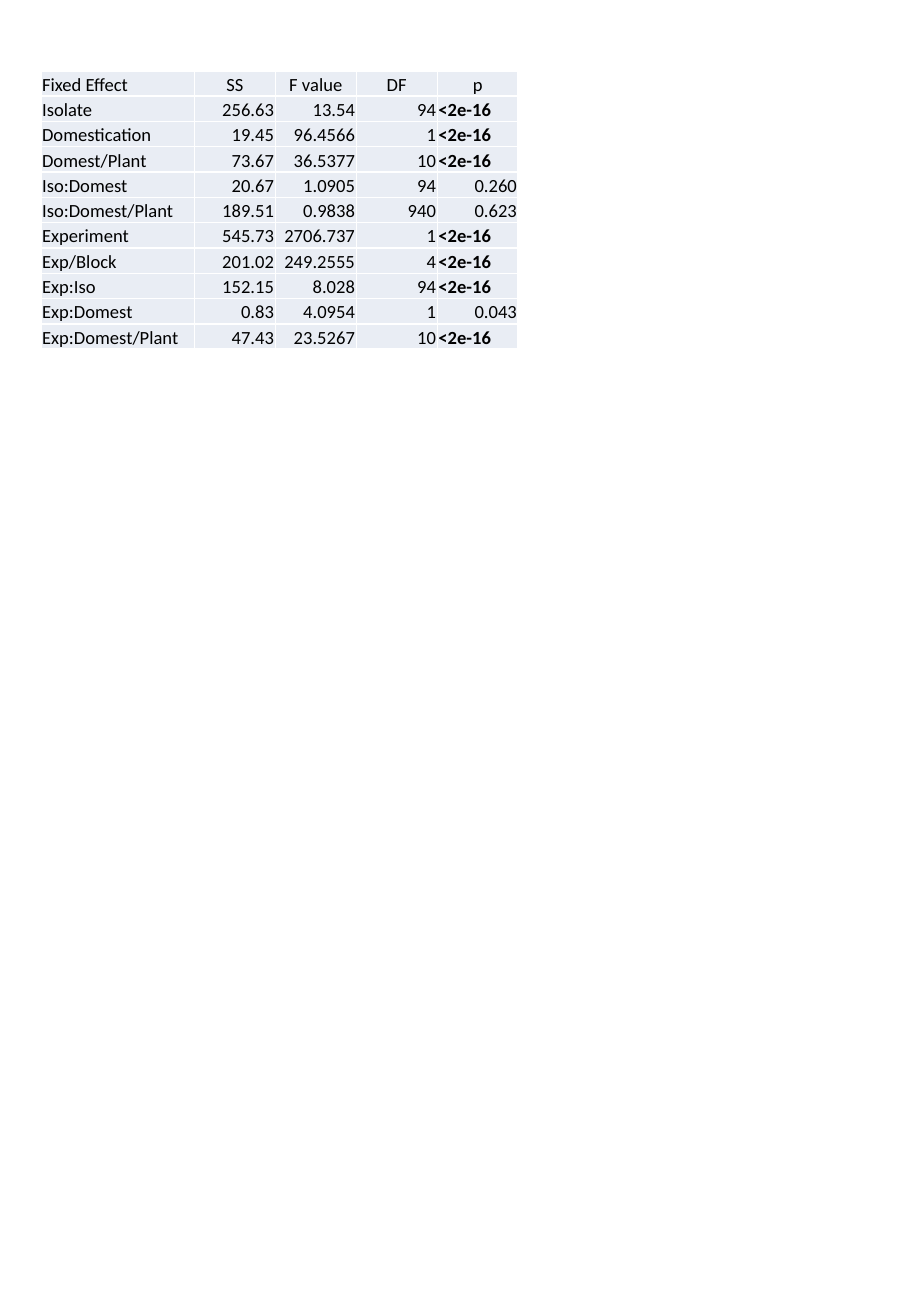
from lxml import etree
from pptx import Presentation
from pptx.dml.color import RGBColor
from pptx.enum.text import MSO_ANCHOR, PP_ALIGN
from pptx.oxml.ns import qn
from pptx.util import Pt

LEFT, CENTER, RIGHT = PP_ALIGN.LEFT, PP_ALIGN.CENTER, PP_ALIGN.RIGHT
BOTTOM = MSO_ANCHOR.BOTTOM
BLACK = RGBColor(0x00, 0x00, 0x00)
WHITE = RGBColor(0xFF, 0xFF, 0xFF)
PALE_BLUE = RGBColor(0xE9, 0xED, 0xF4)

SIGNIFICANT = "<2e-16"
COLUMN_WIDTHS = [91, 48, 48, 48, 48]
ROW_HEIGHT = 15
EFFECTS = [
    ("Fixed Effect", "SS", "F value", "DF", "p"),
    ("Isolate", "256.63", "13.54", "94", SIGNIFICANT),
    ("Domestication", "19.45", "96.4566", "1", SIGNIFICANT),
    ("Domest/Plant", "73.67", "36.5377", "10", SIGNIFICANT),
    ("Iso:Domest", "20.67", "1.0905", "94", "0.260"),
    ("Iso:Domest/Plant", "189.51", "0.9838", "940", "0.623"),
    ("Experiment", "545.73", "2706.737", "1", SIGNIFICANT),
    ("Exp/Block", "201.02", "249.2555", "4", SIGNIFICANT),
    ("Exp:Iso", "152.15", "8.028", "94", SIGNIFICANT),
    ("Exp:Domest", "0.83", "4.0954", "1", "0.043"),
    ("Exp:Domest/Plant", "47.43", "23.5267", "10", SIGNIFICANT),
]


def add_borders(cell):
    tcPr = cell._tc.get_or_add_tcPr()
    for side in ("a:lnL", "a:lnR", "a:lnT", "a:lnB"):
        line = etree.SubElement(tcPr, qn(side), w=str(Pt(1)))
        fill = etree.SubElement(line, qn("a:solidFill"))
        etree.SubElement(fill, qn("a:srgbClr"), val=str(WHITE))


prs = Presentation()
prs.slide_width = Pt(540)
prs.slide_height = Pt(780)
s = prs.slides.add_slide(prs.slide_layouts[6])

table = s.shapes.add_table(
    len(EFFECTS), len(COLUMN_WIDTHS), Pt(24.2), Pt(42),
    Pt(sum(COLUMN_WIDTHS)), Pt(ROW_HEIGHT * len(EFFECTS))).table
table.first_row = False
table.horz_banding = False
for column, width in zip(table.columns, COLUMN_WIDTHS):
    column.width = Pt(width)

for i, effect in enumerate(EFFECTS):
    table.rows[i].height = Pt(ROW_HEIGHT)
    for j, value in enumerate(effect):
        cell = table.cell(i, j)
        add_borders(cell)
        cell.fill.solid()
        cell.fill.fore_color.rgb = PALE_BLUE
        cell.vertical_anchor = BOTTOM
        cell.margin_left = cell.margin_right = cell.margin_top = Pt(0.75)
        cell.margin_bottom = Pt(0)
        cell.text_frame.text = value
        p = cell.text_frame.paragraphs[0]
        if j == 0 or value == SIGNIFICANT:
            p.alignment = LEFT
        else:
            p.alignment = CENTER if i == 0 else RIGHT
        r = p.runs[0]
        r.font.name = "Calibri"
        r.font.size = Pt(11)
        r.font.bold = value == SIGNIFICANT
        r.font.color.rgb = BLACK

prs.save("out.pptx")
